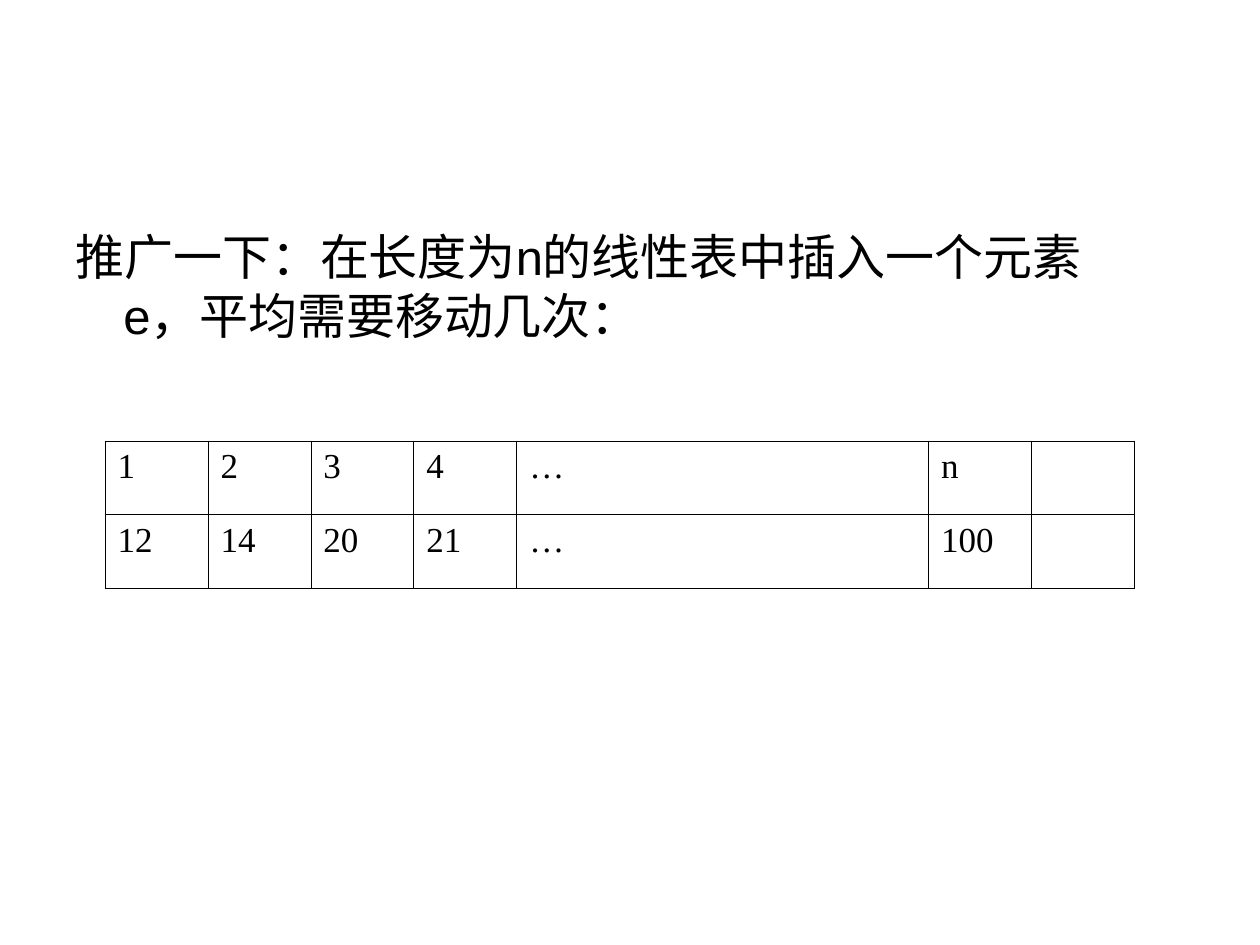
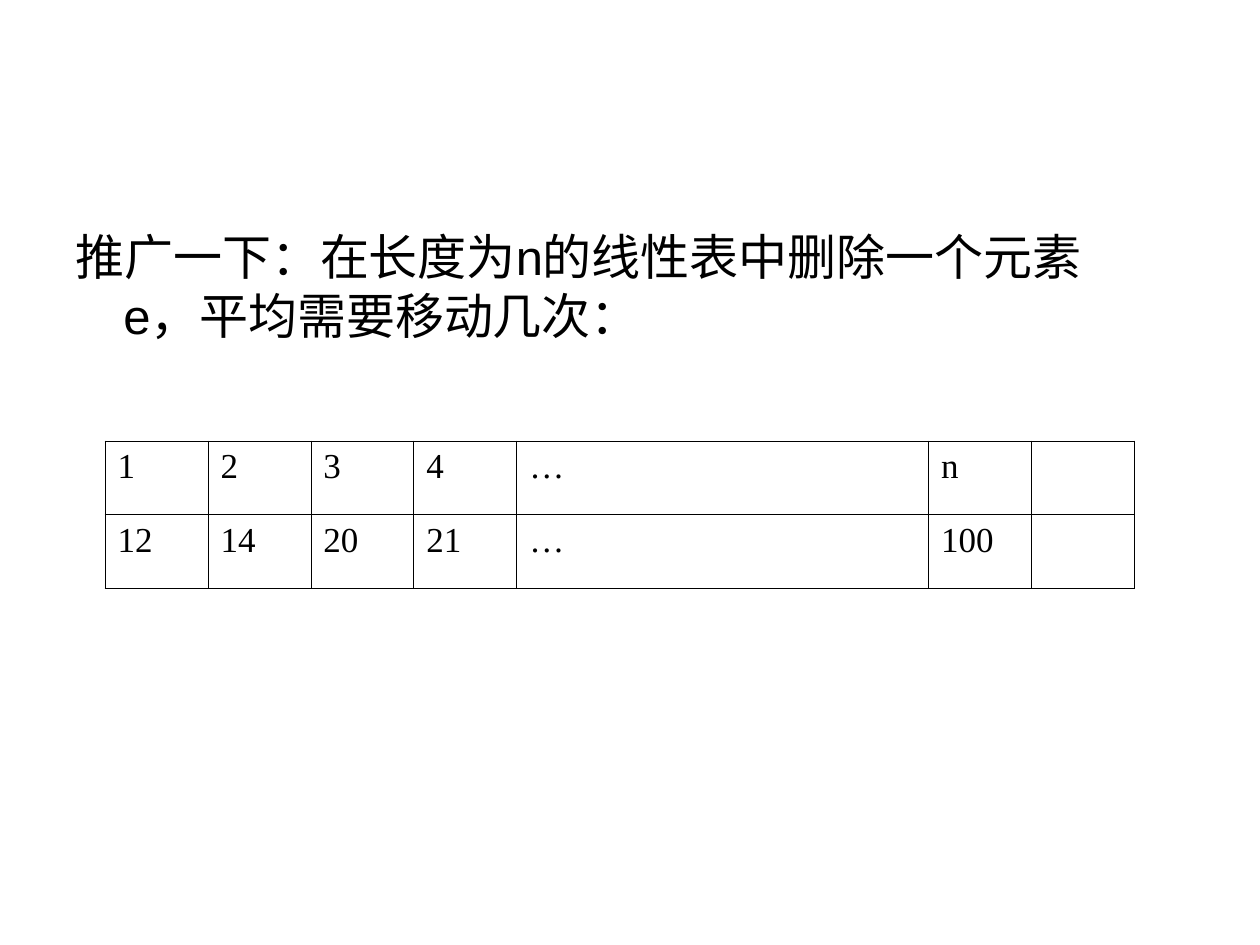
from lxml.etree import SubElement
from pptx import Presentation
from pptx.dml.color import RGBColor
from pptx.oxml import parse_xml
from pptx.oxml.ns import nsdecls
from pptx.util import Inches, Pt

BLACK = "000000"
BORDER_WIDTH = Pt(0.45)
HANGING_INDENT = Inches(0.38)
OPERATIONS = ["插入", "删除"]
LIST_ROWS = [
    ["1", "2", "3", "4", "…", "n", ""],
    ["12", "14", "20", "21", "…", "100", ""],
]
COLUMN_SHARES = [1, 1, 1, 1, 4, 1, 1]


def style_font(paragraph, name, size, color):
    paragraph.font.name = name
    paragraph.font.size = Pt(size)
    paragraph.font.color.rgb = RGBColor.from_string(color)


def add_borders(cell, color):
    """Draw a thin line on all four sides; lines must precede the fill."""
    properties = cell._tc.get_or_add_tcPr()
    for position, side in enumerate(["lnL", "lnR", "lnT", "lnB"]):
        properties.insert(position, parse_xml(
            f'<a:{side} {nsdecls("a")} w="{BORDER_WIDTH}"><a:solidFill>'
            f'<a:srgbClr val="{color}"/></a:solidFill></a:{side}>'))


presentation = Presentation()
presentation.slide_width = Inches(10)
presentation.slide_height = Inches(7.5)
width, height = presentation.slide_width, presentation.slide_height

table_left = width // 12
table_width = width - 2 * table_left - Inches(0.17) + Inches(0.01)
column_unit = Inches(8.17) // sum(COLUMN_SHARES)
table_width = column_unit * sum(COLUMN_SHARES)
row_height = height * 7 // 90

for operation in OPERATIONS:
    slide = presentation.slides.add_slide(presentation.slide_layouts[6])

    question = slide.shapes.add_textbox(
        Inches(0.5), Inches(1.75), Inches(8.75), Inches(1.08))
    question.text_frame.word_wrap = True
    paragraph = question.text_frame.paragraphs[0]
    paragraph.text = f"推广一下：在长度为n的线性表中{operation}一个元素e，平均需要移动几次："
    paragraph_properties = paragraph._p.get_or_add_pPr()
    paragraph_properties.set("marL", str(HANGING_INDENT))
    paragraph_properties.set("indent", str(-HANGING_INDENT))
    style_font(paragraph, "Arial", 28, BLACK)

    table = slide.shapes.add_table(
        len(LIST_ROWS), len(COLUMN_SHARES), table_left, Inches(3.5),
        table_width, row_height * len(LIST_ROWS)).table
    table.first_row = False
    table.horz_banding = False
    for column, share in zip(table.columns, COLUMN_SHARES):
        column.width = column_unit * share
    for row, values in zip(table.rows, LIST_ROWS):
        row.height = row_height
        for cell, value in zip(row.cells, values):
            cell.fill.background()
            add_borders(cell, BLACK)
            cell.text = value
            style_font(cell.text_frame.paragraphs[0], "Times New Roman", 20, BLACK)

presentation.save("out.pptx")
